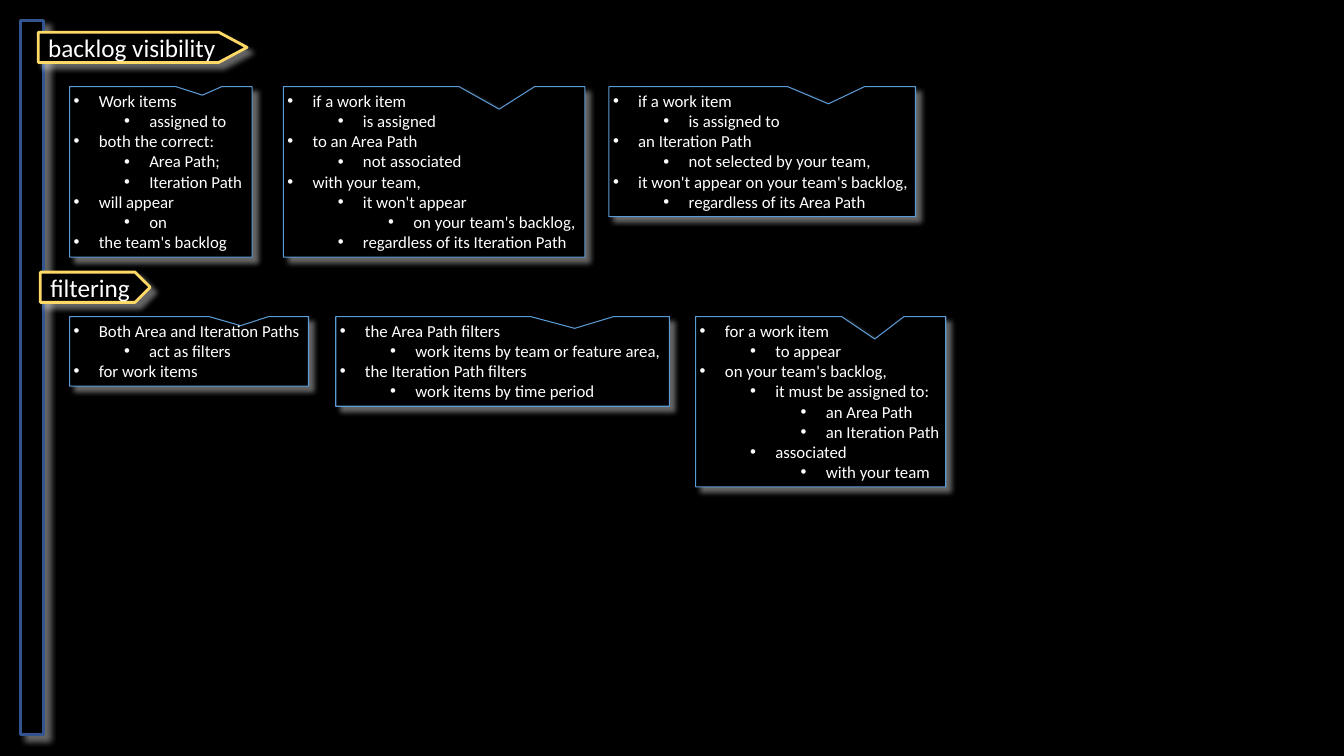
"""Build the slide on backlog visibility and filtering by Area and Iteration Path."""
from dataclasses import dataclass

from lxml.etree import SubElement
from pptx import Presentation
from pptx.dml.color import RGBColor
from pptx.enum.shapes import MSO_SHAPE as Preset
from pptx.enum.text import MSO_ANCHOR as Anchor
from pptx.enum.text import MSO_AUTO_SIZE as AutoSize
from pptx.enum.text import PP_ALIGN as Align
from pptx.oxml.ns import qn
from pptx.shapes.autoshape import Shape
from pptx.slide import Slide
from pptx.text.text import _Paragraph as Paragraph
from pptx.util import Inches, Pt

COLORS = {
    "black": "000000",
    "white": "FFFFFF",
    "rail": "325491",
    "callout": "5B9BD5",
    "tag": "FFD966",
}
FONT = "Calibri"
Line = tuple[int, str]


@dataclass(frozen=True)
class Tag:
    label: str
    left: float
    top: float
    shoulder: float
    tip: float
    height: float = 0.3


@dataclass(frozen=True)
class Callout:
    left: float
    top: float
    width: float
    lines: tuple[Line, ...]
    notch: tuple[float, float] = (0.216, -0.368)

    @property
    def height(self) -> float:
        return 0.09 + 0.2 * len(self.lines)


VISIBILITY_TOP, FILTERING_TOP = 0.86, 3.14

TAGS = (
    Tag("backlog visibility", 0.38, 0.32, 2.17, 2.45),
    Tag("filtering", 0.4, 2.7, 1.34, 1.49),
)

CALLOUTS = (
    Callout(0.69, VISIBILITY_TOP, 1.81, (
        (0, "Work items"),
        (1, "assigned to"),
        (0, "both the correct:"),
        (1, "Area Path;"),
        (1, "Iteration Path"),
        (0, "will appear"),
        (1, "on"),
        (0, "the team's backlog"),
    ), notch=(0.228, -0.45)),
    Callout(2.81, VISIBILITY_TOP, 2.99, (
        (0, "if a work item"),
        (1, "is assigned"),
        (0, "to an Area Path"),
        (1, "not associated"),
        (0, "with your team,"),
        (1, "it won't appear"),
        (2, "on your team's backlog,"),
        (1, "regardless of its Iteration Path"),
    )),
    Callout(6.04, VISIBILITY_TOP, 3.04, (
        (0, "if a work item"),
        (1, "is assigned to"),
        (0, "an Iteration Path"),
        (1, "not selected by your team,"),
        (0, "it won't appear on your team's backlog,"),
        (1, "regardless of its Area Path"),
    )),
    Callout(0.69, FILTERING_TOP, 2.37, (
        (0, "Both Area and Iteration Paths"),
        (1, "act as filters"),
        (0, "for work items"),
    )),
    Callout(3.33, FILTERING_TOP, 3.31, (
        (0, "the Area Path filters"),
        (1, "work items by team or feature area,"),
        (0, "the Iteration Path filters"),
        (1, "work items by time period"),
    )),
    Callout(6.9, FILTERING_TOP, 2.48, (
        (0, "for a work item"),
        (1, "to appear"),
        (0, "on your team's backlog,"),
        (1, "it must be assigned to:"),
        (2, "an Area Path"),
        (2, "an Iteration Path"),
        (1, "associated"),
        (2, "with your team"),
    )),
)


def rgb(name: str) -> RGBColor:
    """Return a named palette colour."""
    return RGBColor.from_string(COLORS[name])


def style(shape: Shape, line: str, weight: float) -> None:
    """Give a shape a black fill, a coloured outline and a white glow-like shadow."""
    shape.fill.solid()
    shape.fill.fore_color.rgb = rgb("black")
    shape.line.color.rgb = rgb(line)
    shape.line.width = Pt(weight)
    shape.shadow.inherit = False
    effects = shape._element.spPr.find(qn("a:effectLst"))
    shadow = SubElement(effects, qn("a:outerShdw"), blurRad=str(Pt(4)), dist=str(Pt(5)),
                        dir=str(45 * 60000), algn="tl", rotWithShape="0")
    tint = SubElement(shadow, qn("a:srgbClr"), val=COLORS["white"])
    SubElement(tint, qn("a:alpha"), val="40000")


def add_bullet(paragraph: Paragraph, level: int) -> None:
    """Indent a paragraph by its level and put a round bullet before it."""
    paragraph.level = level
    props = paragraph._p.get_or_add_pPr()
    props.set("marL", str(Inches(0.25 + 0.5 * level)))
    props.set("indent", str(Inches(-0.25)))
    SubElement(props, qn("a:buFont"), typeface="Arial")
    SubElement(props, qn("a:buChar"), char="•")


def write(shape: Shape, lines: tuple[Line, ...], *, size: float, anchor: Anchor,
          insets: tuple[float, float, float, float], bullets: bool) -> None:
    """Write levelled lines into a shape that grows to fit them."""
    frame = shape.text_frame
    frame.word_wrap = False
    frame.auto_size = AutoSize.SHAPE_TO_FIT_TEXT
    frame.vertical_anchor = anchor
    (frame.margin_left, frame.margin_top,
     frame.margin_right, frame.margin_bottom) = map(Inches, insets)
    for index, (level, text) in enumerate(lines):
        paragraph = frame.add_paragraph() if index else frame.paragraphs[0]
        paragraph.alignment = Align.LEFT
        if bullets:
            add_bullet(paragraph, level)
        run = paragraph.add_run()
        run.text = text
        run.font.name = FONT
        run.font.size = Pt(size)
        run.font.color.rgb = rgb("white")


def add_preset(slide: Slide, preset: Preset, left: float, top: float,
               width: float, height: float) -> Shape:
    """Add a preset shape measured in inches."""
    return slide.shapes.add_shape(preset, *map(Inches, (left, top, width, height)))


def draw_rail(slide: Slide) -> None:
    """Draw the tall bar that the section tags hang on."""
    rail = add_preset(slide, Preset.RECTANGLE, 0.2, 0.2, 0.23, 7.09)
    style(rail, "rail", 2)


def draw_callout(slide: Slide, callout: Callout) -> None:
    """Draw a notched box with its bulleted outline."""
    box = add_preset(slide, Preset.RECTANGULAR_CALLOUT, callout.left, callout.top,
                     callout.width, callout.height)
    box.adjustments[0], box.adjustments[1] = callout.notch
    style(box, "callout", 0.75)
    write(box, callout.lines, size=12, anchor=Anchor.TOP, insets=(0.04,) * 4, bullets=True)


def draw_tag(slide: Slide, tag: Tag) -> None:
    """Draw a pointed section tag with its label."""
    bottom = tag.top + tag.height
    corners = ((tag.shoulder, tag.top), (tag.tip, tag.top + tag.height / 2),
               (tag.shoulder, bottom), (tag.left, bottom))
    builder = slide.shapes.build_freeform(Inches(tag.left), Inches(tag.top))
    builder.add_line_segments([(Inches(x), Inches(y)) for x, y in corners], close=True)
    arrow = builder.convert_to_shape()
    style(arrow, "tag", 2)
    write(arrow, ((0, tag.label),), size=18, anchor=Anchor.MIDDLE,
          insets=(0.1, 0, 0.2, 0), bullets=False)


def main() -> None:
    """Build and save the slide."""
    deck = Presentation()
    deck.slide_width, deck.slide_height = Inches(13.33), Inches(7.5)
    slide = deck.slides.add_slide(deck.slide_layouts[6])
    slide.background.fill.solid()
    slide.background.fill.fore_color.rgb = rgb("black")
    draw_rail(slide)
    for callout in CALLOUTS:
        draw_callout(slide, callout)
    for tag in TAGS:
        draw_tag(slide, tag)
    deck.save("out.pptx")


if __name__ == "__main__":
    main()
